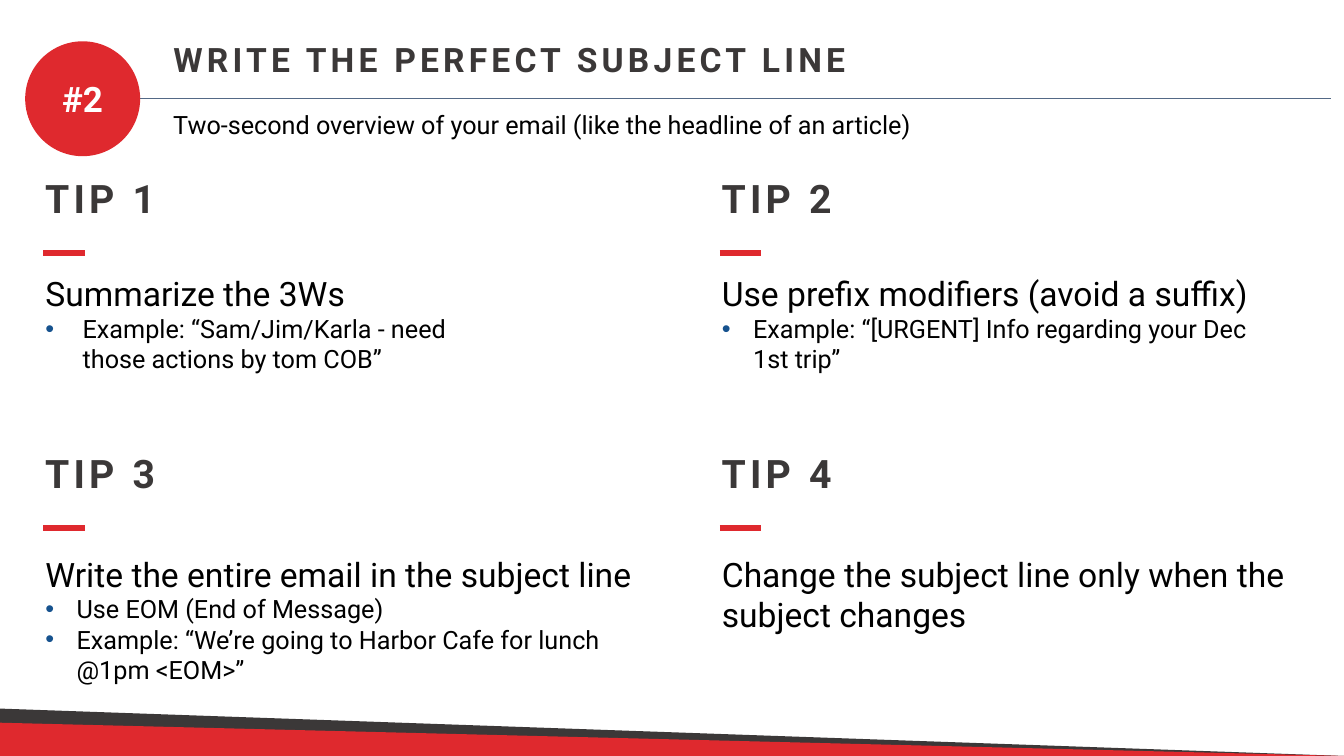
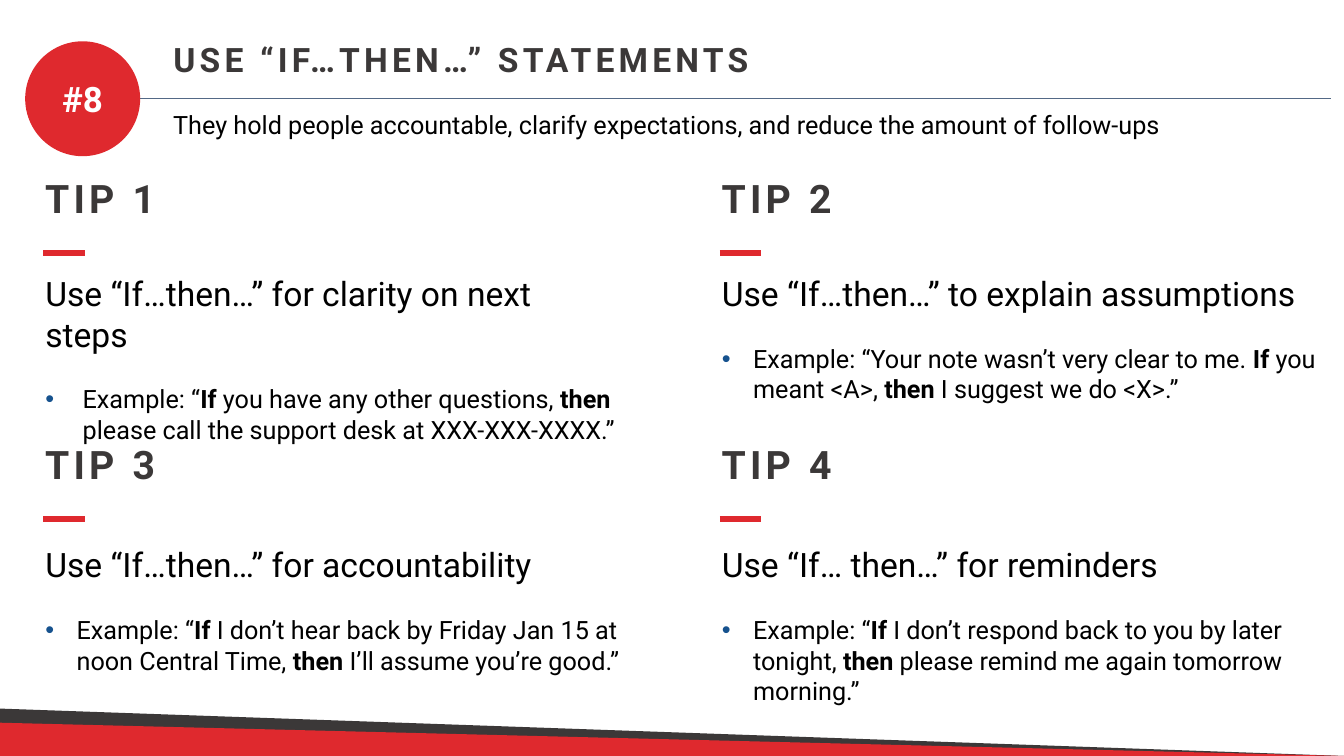
from dataclasses import dataclass

from lxml.etree import SubElement
from pptx import Presentation
from pptx.dml.color import RGBColor
from pptx.enum.shapes import MSO_CONNECTOR, MSO_SHAPE
from pptx.enum.text import MSO_ANCHOR, MSO_AUTO_SIZE, PP_ALIGN
from pptx.oxml.ns import qn
from pptx.util import Inches, Pt

# Shared look
CHARCOAL = RGBColor(0x3B, 0x38, 0x38)
RED = RGBColor(0xDF, 0x29, 0x2E)
SLATE = RGBColor(0x53, 0x69, 0x86)
BLUE = RGBColor(0x16, 0x52, 0x8E)
BLACK = RGBColor(0, 0, 0)
WHITE = RGBColor(0xFF, 0xFF, 0xFF)
FONT = "Roboto"
COMPARISON_LAYOUT = 4  # a title and four body placeholders

TITLE_FORMAT = {"size": Pt(24), "bold": True, "color": CHARCOAL, "spacing": 300}
TIP_FORMAT = TITLE_FORMAT | {"size": Pt(28)}
BADGE_FORMAT = {"size": Pt(25), "bold": True, "color": WHITE}
HEADING_FORMAT = {"size": Pt(24), "bold": False, "color": BLACK}
DETAIL_FORMAT = HEADING_FORMAT | {"size": Pt(18)}

# Grid of tips
COLUMN_LEFTS = (0.35, 7.06)
DASH_DROP = 0.83
DASH_LENGTH = 0.41
BODY_DROPS = (0.98, 1.03)


@dataclass(frozen=True)
class Tip:
    heading: str
    bullets: tuple[str, ...]  # words between asterisks are bold
    width: float
    height: float
    indent: float = 0.31


@dataclass(frozen=True)
class TipPage:
    number: int
    title: str
    title_width: float
    overview: str
    overview_width: float
    row_tops: tuple[float, float]
    bullet_gap: float  # points between a heading and its bullets
    tips: tuple[Tip, ...]


PAGES = (
    TipPage(
        2, "WRITE THE PERFECT SUBJECT LINE", 6.99,
        "Two-second overview of your email (like the headline of an article)", 7.54,
        (1.68, 4.41), 0,
        (
            Tip("Summarize the 3Ws",
                ("Example: “Sam/Jim/Karla - need those actions by tom COB”",),
                4.23, 1.51, 0.37),
            Tip("Use prefix modifiers (avoid a suffix)",
                ("Example: “[URGENT] Info regarding your Dec 1st trip”",),
                5.79, 1.41),
            Tip("Write the entire email in the subject line",
                ("Use EOM (End of Message)",
                 "Example: “We’re going to Harbor Cafe for lunch @1pm <EOM>”"),
                6.25, 1.72),
            Tip("Change the subject line only when the subject changes", (), 5.79, 0.91),
        ),
    ),
    TipPage(
        8, "USE “IF…THEN…” STATEMENTS", 6.25,
        "They hold people accountable, clarify expectations, "
        "and reduce the amount of follow-ups", 10.07,
        (1.68, 4.32), 21.4,
        (
            Tip("Use “If…then…” for clarity on next steps",
                ("Example: “*If *you have any other questions, *then* "
                 "please call the support desk at XXX-XXX-XXXX.”",),
                5.87, 1.82, 0.37),
            Tip("Use “If…then…” to explain assumptions",
                ("Example: “Your note wasn’t very clear to me. *If* you "
                 "meant <A>, *then* I suggest we do <X>.”",),
                6.15, 1.72),
            Tip("Use “If…then…” for accountability",
                ("Example: “*If* I don’t hear back by Friday Jan 15 at noon "
                 "Central Time, *then* I’ll assume you’re good.”",),
                6.25, 1.72),
            Tip("Use “If… then…” for reminders",
                ("Example: “*If* I don’t respond back to you by later tonight, "
                 "*then* please remind me again tomorrow morning.”",),
                5.79, 2.12),
        ),
    ),
)


def add_span(para, text: str, formats: dict) -> None:
    """Add one run with the given format values."""
    span = para.add_run()
    span.text = text
    span.font.name = FONT
    for name, value in formats.items():
        if name == "color":
            span.font.color.rgb = value
        elif name == "spacing":
            span.font._element.set("spc", str(value))
        else:
            setattr(span.font, name, value)


def format_para(para, before: float = 0, align=PP_ALIGN.LEFT) -> None:
    values = {"alignment": align, "line_spacing": 1.0,
              "space_before": Pt(before), "space_after": Pt(0)}
    for name, value in values.items():
        setattr(para, name, value)


def set_bullet(para, indent: float = 0) -> None:
    """Give a bullet with a hanging indent, or none when indent is zero."""
    properties = para._p.get_or_add_pPr()
    properties.set("marL", str(Inches(indent)))
    properties.set("indent", str(-Inches(indent)))
    if not indent:
        SubElement(properties, qn("a:buNone"))
        return
    color = SubElement(properties, qn("a:buClr"))
    SubElement(color, qn("a:srgbClr"), val=str(BLUE))
    SubElement(properties, qn("a:buFont"), typeface="Arial")
    SubElement(properties, qn("a:buChar"), char="•")


def place(box, left: float, top: float, width: float, height: float,
          wrap: bool = False) -> None:
    """Move a text box or placeholder and let it fit its text."""
    values = {"left": left, "top": top, "width": width, "height": height}
    for name, value in values.items():
        setattr(box, name, Inches(value))
    frame = box.text_frame
    frame.word_wrap = wrap
    frame.auto_size = MSO_AUTO_SIZE.SHAPE_TO_FIT_TEXT
    frame.vertical_anchor = MSO_ANCHOR.TOP


def write_line(box, text: str, formats: dict, align=PP_ALIGN.LEFT) -> None:
    para = box.text_frame.paragraphs[0]
    format_para(para, align=align)
    add_span(para, text, formats)


def add_label(page, text: str, formats: dict, left: float, top: float,
              width: float, height: float) -> None:
    box = page.shapes.add_textbox(0, 0, 0, 0)
    place(box, left, top, width, height)
    write_line(box, text, formats)


def add_rule(page, left: float, right: float, y: float,
             color: RGBColor, weight: float) -> None:
    rule = page.shapes.add_connector(
        MSO_CONNECTOR.STRAIGHT, Inches(left), Inches(y), Inches(right), Inches(y))
    rule.line.color.rgb = color
    rule.line.width = Pt(weight)
    SubElement(rule._element.spPr, qn("a:effectLst"))


def add_filled_shape(shapes, kind, left: float, top: float, width: float,
                     height: float, color: RGBColor):
    shape = shapes.add_shape(
        kind, Inches(left), Inches(top), Inches(width), Inches(height))
    shape.shadow.inherit = False
    shape.fill.solid()
    shape.fill.fore_color.rgb = color
    shape.line.fill.background()
    return shape


def add_footer_bands(page) -> None:
    bands = page.shapes.add_group_shape()
    for top, color in ((7.03, CHARCOAL), (7.17, RED)):
        band = add_filled_shape(bands.shapes, MSO_SHAPE.ISOSCELES_TRIANGLE,
                                0, top, 13.33, 7.5 - top, color)
        band.adjustments[0] = 0


def add_header(page, content: TipPage) -> None:
    title = page.shapes.title
    place(title, 1.62, 0.34, content.title_width, 0.5)
    write_line(title, content.title, TITLE_FORMAT)
    add_rule(page, 0.56, 13.2, 0.98, SLATE, 0.5)
    add_label(page, content.overview, DETAIL_FORMAT,
              1.62, 1.04, content.overview_width, 0.4)
    badge = add_filled_shape(page.shapes, MSO_SHAPE.OVAL, 0.25, 0.41, 1.14, 1.14, RED)
    badge.text_frame.vertical_anchor = MSO_ANCHOR.MIDDLE
    write_line(badge, f"#{content.number}", BADGE_FORMAT, PP_ALIGN.CENTER)


def fill_tip(body, tip: Tip, bullet_gap: float) -> None:
    """Write a heading and its bullets into a body placeholder."""
    write_line(body, tip.heading, HEADING_FORMAT)
    set_bullet(body.text_frame.paragraphs[0])
    for index, bullet in enumerate(tip.bullets):
        para = body.text_frame.add_paragraph()
        format_para(para, before=0 if index else bullet_gap)
        set_bullet(para, tip.indent)
        for part, text in enumerate(bullet.split("*")):
            add_span(para, text, DETAIL_FORMAT | {"bold": part % 2 == 1})


def add_tips(page, content: TipPage) -> None:
    bodies = list(page.placeholders)[1:]
    for index, (body, tip) in enumerate(zip(bodies, content.tips)):
        row, column = divmod(index, len(COLUMN_LEFTS))
        left, top = COLUMN_LEFTS[column], content.row_tops[row]
        add_label(page, f"TIP {index + 1}", TIP_FORMAT, left, top, 1.33, 0.57)
        dash_left = left + 0.08
        add_rule(page, dash_left, dash_left + DASH_LENGTH, top + DASH_DROP, RED, 4.5)
        place(body, left, top + BODY_DROPS[row], tip.width, tip.height, wrap=True)
        fill_tip(body, tip, content.bullet_gap)


def main() -> None:
    deck = Presentation()
    deck.slide_width, deck.slide_height = Inches(13.33), Inches(7.5)
    for content in PAGES:
        page = deck.slides.add_slide(deck.slide_layouts[COMPARISON_LAYOUT])
        add_footer_bands(page)
        add_header(page, content)
        add_tips(page, content)
    deck.save("out.pptx")


if __name__ == "__main__":
    main()
